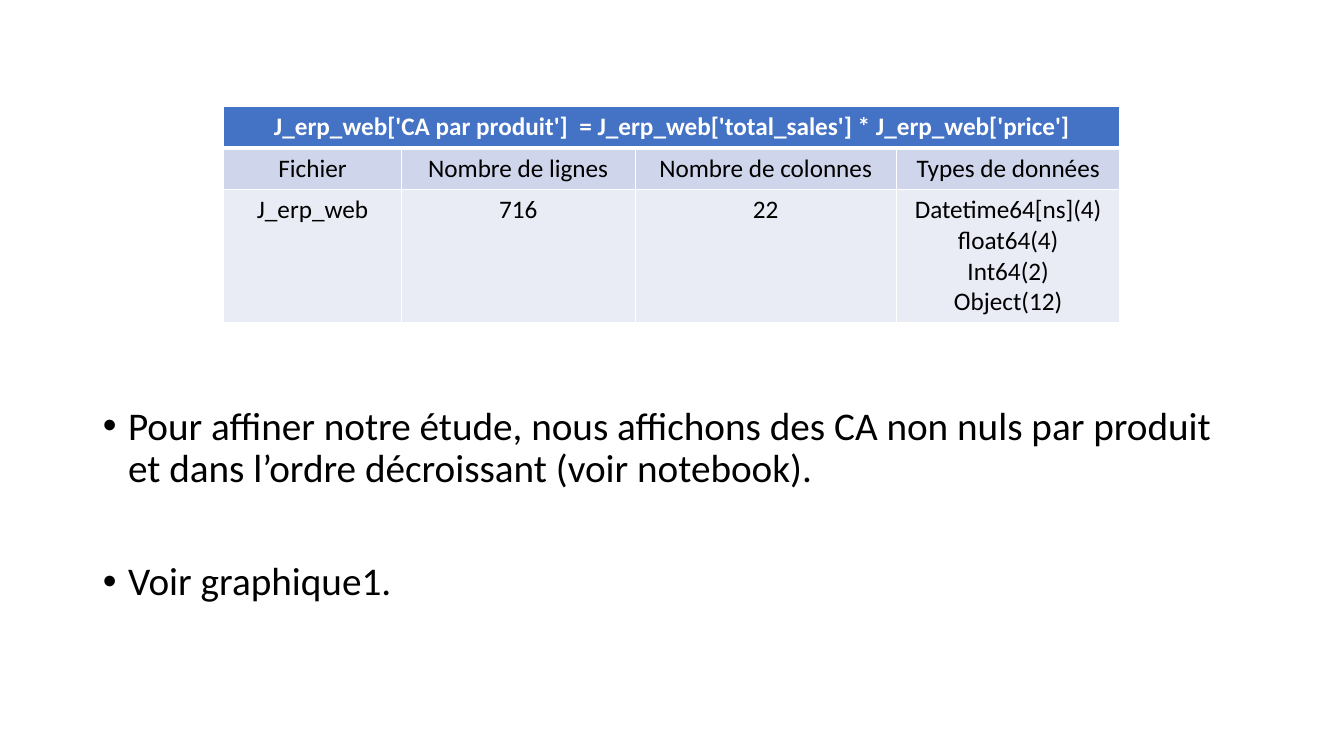
from lxml import etree
from pptx import Presentation
from pptx.dml.color import RGBColor
from pptx.enum.text import MSO_ANCHOR, MSO_AUTO_SIZE, PP_ALIGN
from pptx.oxml.ns import qn
from pptx.util import Inches, Pt

CENTER = PP_ALIGN.CENTER
LEFT = PP_ALIGN.LEFT
TOP = MSO_ANCHOR.TOP
NO_AUTOFIT = MSO_AUTO_SIZE.NONE

FONT = "Calibri"
BLACK = RGBColor(0x00, 0x00, 0x00)
WHITE = RGBColor(0xFF, 0xFF, 0xFF)
HEADER_BLUE = RGBColor(0x44, 0x72, 0xC4)
BAND_DARK = RGBColor(0xCF, 0xD5, 0xEA)
BAND_LIGHT = RGBColor(0xE9, 0xEB, 0xF5)

FORMULA = "J_erp_web['CA par produit']  = J_erp_web['total_sales'] * J_erp_web['price']"
COLUMN_LABELS = ["Fichier", "Nombre de lignes", "Nombre de colonnes", "Types de données"]
FILE_SUMMARY = [
    "J_erp_web",
    "716",
    "22",
    "Datetime64[ns](4)\nfloat64(4)\nInt64(2)\nObject(12)",
]
COLUMN_WIDTHS = [1.76, 2.32, 2.59, 2.22]
ROW_HEIGHTS = [0.41, 0.41, 1.29]
REMARKS = [
    "Pour affiner notre étude, nous affichons des CA non nuls par produit "
    "et dans l’ordre décroissant (voir notebook).",
    "Voir graphique1.",
]


def add_run(paragraph, text, size, color, bold=False):
    run = paragraph.add_run()
    run.text = text
    run.font.name = FONT
    run.font.size = Pt(size)
    run.font.bold = bold
    run.font.color.rgb = color


def set_borders(cell, top=1, bottom=1):
    properties = cell._tc.get_or_add_tcPr()
    widths = {"a:lnL": 1, "a:lnR": 1, "a:lnT": top, "a:lnB": bottom}
    for position, (side, width) in enumerate(widths.items()):
        line = etree.Element(qn(side), w=str(Pt(width)))
        line_fill = etree.SubElement(line, qn("a:solidFill"))
        etree.SubElement(line_fill, qn("a:srgbClr"), val=str(WHITE))
        properties.insert(position, line)


def fill_cell(cell, text, background, color=BLACK, bold=False):
    cell.fill.solid()
    cell.fill.fore_color.rgb = background
    frame = cell.text_frame
    for index, line in enumerate(text.split("\n")):
        paragraph = frame.add_paragraph() if index else frame.paragraphs[0]
        paragraph.alignment = CENTER
        add_run(paragraph, line, 18, color, bold)


def add_file_table(slide):
    table = slide.shapes.add_table(
        len(ROW_HEIGHTS), len(COLUMN_WIDTHS),
        Inches(2.22), Inches(1.06),
        Inches(sum(COLUMN_WIDTHS)), Inches(sum(ROW_HEIGHTS)),
    ).table
    for column, width in zip(table.columns, COLUMN_WIDTHS):
        column.width = Inches(width)
    for row, height in zip(table.rows, ROW_HEIGHTS):
        row.height = Inches(height)

    formula_cell = table.cell(0, 0)
    formula_cell.merge(table.cell(0, len(COLUMN_WIDTHS) - 1))
    fill_cell(formula_cell, FORMULA, HEADER_BLUE, WHITE, bold=True)
    bands = [(COLUMN_LABELS, BAND_DARK), (FILE_SUMMARY, BAND_LIGHT)]
    for row_index, (texts, background) in enumerate(bands, start=1):
        for column_index, text in enumerate(texts):
            fill_cell(table.cell(row_index, column_index), text, background)

    for row_index, row in enumerate(table.rows):
        for cell in row.cells:
            set_borders(
                cell,
                top=3 if row_index == 1 else 1,
                bottom=3 if row_index == 0 else 1,
            )


def add_bullet(paragraph):
    properties = paragraph._p.get_or_add_pPr()
    properties.set("marL", str(Inches(0.25)))
    properties.set("indent", str(Inches(-0.25)))
    etree.SubElement(properties, qn("a:buFont"), typeface="Arial")
    etree.SubElement(properties, qn("a:buChar"), char="•")


def write_remarks(body):
    body.left, body.top = Inches(0.92), Inches(3.98)
    body.width, body.height = Inches(11.5), Inches(2.77)
    frame = body.text_frame
    frame.word_wrap = True
    frame.auto_size = NO_AUTOFIT
    frame.vertical_anchor = TOP
    for index, remark in enumerate(REMARKS):
        paragraph = frame.add_paragraph() if index else frame.paragraphs[0]
        add_bullet(paragraph)
        paragraph.alignment = LEFT
        paragraph.line_spacing = 0.9
        paragraph.space_before = Pt(50.7 if index else 0)
        add_run(paragraph, remark, 28, BLACK)


def main():
    presentation = Presentation()
    presentation.slide_width = Inches(13.33)
    presentation.slide_height = Inches(7.5)
    slide = presentation.slides.add_slide(presentation.slide_layouts[1])
    empty_title = slide.shapes.title.element
    empty_title.getparent().remove(empty_title)
    write_remarks(slide.placeholders[1])
    add_file_table(slide)
    presentation.save("out.pptx")


if __name__ == "__main__":
    main()
